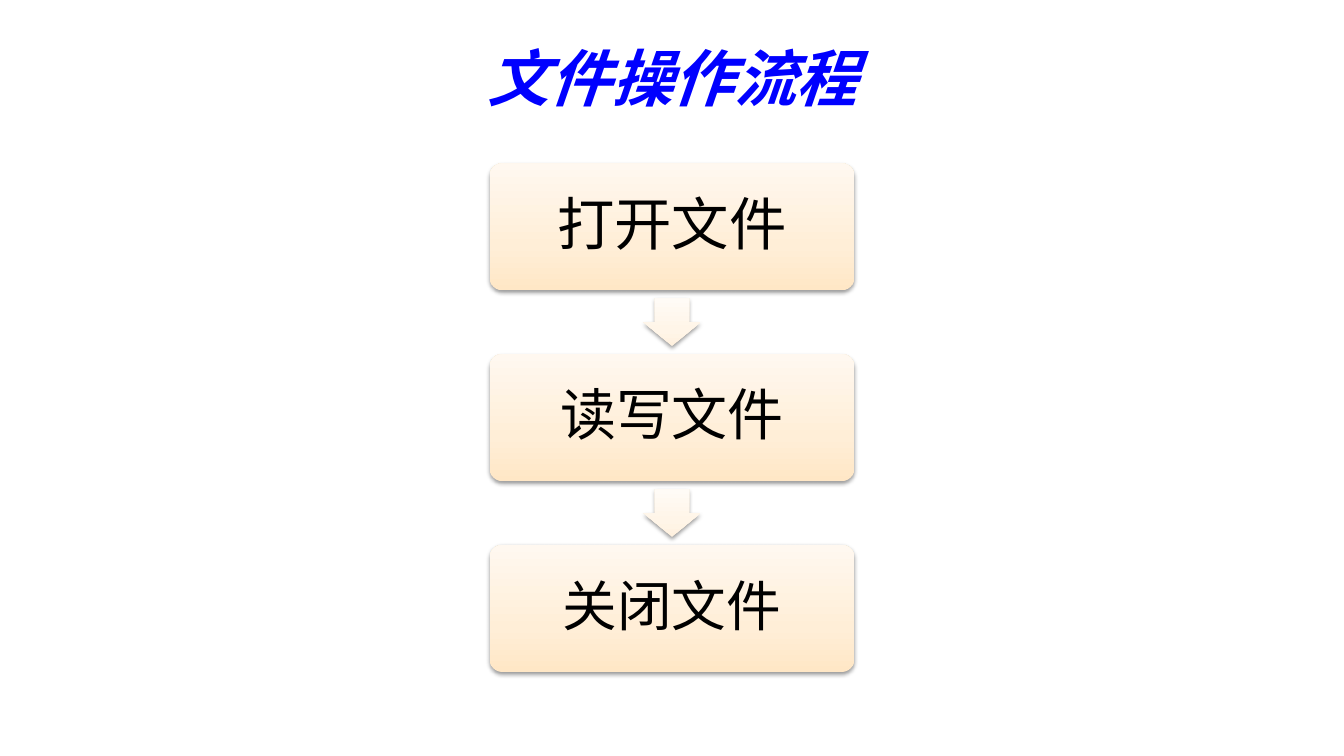
from lxml import etree
from pptx import Presentation
from pptx.dml.color import RGBColor
from pptx.enum.lang import MSO_LANGUAGE_ID
from pptx.enum.shapes import MSO_SHAPE
from pptx.enum.text import MSO_ANCHOR, MSO_AUTO_SIZE, PP_ALIGN
from pptx.oxml import parse_xml
from pptx.oxml.ns import qn
from pptx.util import Pt

TITLE = "文件操作流程"
STEPS = [("打开文件", 41), ("读写文件", 40), ("关闭文件", 39)]

FONT = "Times New Roman"
BLUE = RGBColor(0x00, 0x00, 0xFF)
BLACK = RGBColor(0x00, 0x00, 0x00)
BOX_STOPS = [
    (0, RGBColor(0xFF, 0xE7, 0xC6)),
    (35, RGBColor(0xFF, 0xEE, 0xD7)),
    (100, RGBColor(0xFF, 0xF8, 0xF0)),
]
ARROW_STOPS = [
    (0, RGBColor(0xFF, 0xF1, 0xDF)),
    (35, RGBColor(0xFF, 0xF5, 0xE8)),
    (100, RGBColor(0xFF, 0xFB, 0xF6)),
]
NAMESPACE = "http://schemas.openxmlformats.org/drawingml/2006/main"
CHINESE = MSO_LANGUAGE_ID.SIMPLIFIED_CHINESE
ROUNDED, ARROW = MSO_SHAPE.ROUNDED_RECTANGLE, MSO_SHAPE.DOWN_ARROW
MIDDLE, CENTER = MSO_ANCHOR.MIDDLE, PP_ALIGN.CENTER

SLIDE_WIDTH, SLIDE_HEIGHT = 960, 540
BOX_WIDTH, BOX_HEIGHT = 260.6, 90.7
BOX_TOP, BOX_PITCH = 116.7, 136.3
ARROW_WIDTH, ARROW_HEIGHT = 40.8, 34


def shadow_effect(blur, distance, angle, alpha):
    return parse_xml(
        f'<a:effectLst xmlns:a="{NAMESPACE}"><a:outerShdw blurRad="{Pt(blur)}" '
        f'dist="{Pt(distance)}" dir="{angle * 60000}" algn="ctr" rotWithShape="0">'
        f'<a:srgbClr val="{BLACK}"><a:alpha val="{alpha * 1000}"/></a:srgbClr>'
        "</a:outerShdw></a:effectLst>"
    )


def format_text(text_frame, text, size, color, line_spacing):
    text_frame.text = text
    text_frame.word_wrap = True
    text_frame.auto_size = MSO_AUTO_SIZE.NONE
    text_frame.vertical_anchor = MIDDLE
    paragraph = text_frame.paragraphs[0]
    paragraph.alignment = CENTER
    paragraph.line_spacing = line_spacing
    font = paragraph.runs[0].font
    font.name = FONT
    font.size = Pt(size)
    font.color.rgb = color
    font.language_id = CHINESE
    return paragraph.runs[0]


def add_soft_shape(slide, kind, top, width, height, adjustments, stops):
    left = (SLIDE_WIDTH - width) / 2
    shape = slide.shapes.add_shape(kind, Pt(left), Pt(top), Pt(width), Pt(height))
    for index, value in enumerate(adjustments):
        shape.adjustments[index] = value
    shape.line.fill.background()
    shape.fill.gradient()
    shape.fill.gradient_angle = 90
    stop_list = shape.fill._fill._gradFill.find(qn("a:gsLst"))
    stop_list.clear()
    for position, color in stops:
        stop = etree.SubElement(stop_list, qn("a:gs"), pos=str(position * 1000))
        etree.SubElement(stop, qn("a:srgbClr"), val=str(color))
    shape._element.spPr.append(shadow_effect(3.1, 1.6, 90, 38))
    return shape


def add_title(slide):
    title = slide.shapes.title
    title.left, title.top, title.width, title.height = Pt(71.3), Pt(26), Pt(818.6), Pt(66.2)
    run = format_text(title.text_frame, TITLE, 44, BLUE, 0.85)
    run.font.bold = True
    run.font.italic = True
    run.font.fill._xPr.find(qn("a:solidFill")).addnext(shadow_effect(0, 2.8, 45, 100))


def add_flow(slide):
    gap = BOX_PITCH - BOX_HEIGHT
    for index, (text, size) in enumerate(STEPS):
        top = BOX_TOP + index * BOX_PITCH
        if index:
            arrow_top = top - (gap + ARROW_HEIGHT) / 2
            add_soft_shape(slide, ARROW, arrow_top, ARROW_WIDTH, ARROW_HEIGHT,
                           [0.6, 0.5], ARROW_STOPS)
        box = add_soft_shape(slide, ROUNDED, top, BOX_WIDTH, BOX_HEIGHT, [0.1], BOX_STOPS)
        format_text(box.text_frame, text, size, BLACK, 0.9)


def main():
    presentation = Presentation()
    presentation.slide_width = Pt(SLIDE_WIDTH)
    presentation.slide_height = Pt(SLIDE_HEIGHT)
    slide = presentation.slides.add_slide(presentation.slide_layouts[5])
    add_title(slide)
    add_flow(slide)
    presentation.save("out.pptx")


if __name__ == "__main__":
    main()
